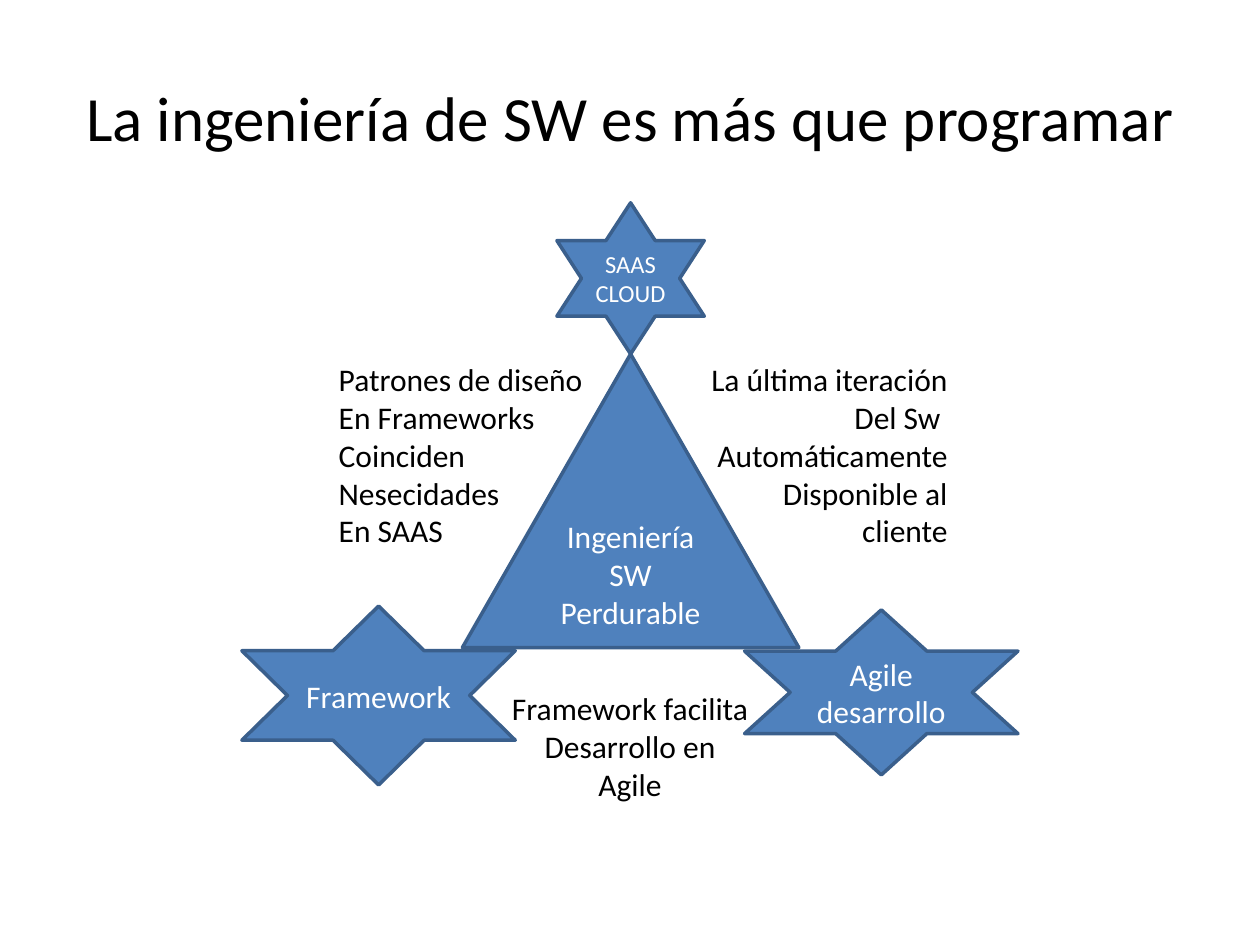
from pptx import Presentation
from pptx.dml.color import RGBColor
from pptx.enum.shapes import MSO_SHAPE as SHAPE
from pptx.enum.text import MSO_ANCHOR as ANCHOR, MSO_AUTO_SIZE as AUTO, PP_ALIGN as ALIGN
from pptx.util import Inches, Pt

COLORS = {"fill": "4F81BD", "line": "3A5F8C", "light": "FFFFFF", "dark": "000000"}
FONT = "Calibri"


def rgb(name):
    return RGBColor.from_string(COLORS[name])


def write(tf, lines, size, color, align):
    """Put each line in its own paragraph."""
    for i, line in enumerate(lines):
        p = tf.paragraphs[0] if i == 0 else tf.add_paragraph()
        p.alignment = align
        r = p.add_run()
        r.text = line
        for key, value in {"name": FONT, "size": Pt(size)}.items():
            setattr(r.font, key, value)
        r.font.color.rgb = rgb(color)


def add_node(slide, kind, box, lines, size=18):
    sp = slide.shapes.add_shape(kind, *map(Inches, box))
    sp.shadow.inherit = False
    sp.fill.solid()
    sp.fill.fore_color.rgb = rgb("fill")
    sp.line.color.rgb = rgb("line")
    sp.line.width = Pt(2)
    sp.text_frame.vertical_anchor = ANCHOR.MIDDLE
    write(sp.text_frame, lines, size, "light", ALIGN.CENTER)


def add_title(slide, box, text):
    tf = slide.shapes.add_textbox(*map(Inches, box)).text_frame
    tf.word_wrap = True
    tf.vertical_anchor = ANCHOR.MIDDLE
    write(tf, [text], 36, "dark", ALIGN.CENTER)


def add_side_label(slide, box, lines, align):
    tf = slide.shapes.add_textbox(*map(Inches, box)).text_frame
    tf.word_wrap = False
    tf.auto_size = AUTO.SHAPE_TO_FIT_TEXT
    write(tf, lines, 18, "dark", align)


def add_triangle_diagram(slide, left, top, width, height):
    """Place a triangle in the box, a star at each corner and a label along each side."""
    center, right, bottom = left + width / 2, left + width, top + height
    add_node(slide, SHAPE.ISOSCELES_TRIANGLE, (left, top, width, height),
             ["Ingeniería", "SW", "Perdurable"])

    stars = [
        (center, top - 1.2, 1.17, 1.2, ["SAAS", "CLOUD"], 14),
        (left - 0.665, bottom - 0.33, 2.17, 1.42, ["Framework"], 18),
        (right + 0.655, bottom - 0.3, 2.17, 1.31, ["Agile", "desarrollo"], 18),
    ]
    for mid, y, w, h, lines, size in stars:
        add_node(slide, SHAPE.STAR_6_POINT, (mid - w / 2, y, w, h), lines, size)

    labels = [
        (left - 1.08, top, 2.16, 1.62, ALIGN.LEFT,
         ["Patrones de diseño", "En Frameworks", "Coinciden", "Nesecidades", "En SAAS"]),
        (right - 0.82, top, 2.1, 1.62, ALIGN.RIGHT,
         ["La última iteración", "Del Sw ", "Automáticamente", "Disponible al", "cliente"]),
        (center - 1.05, bottom + 0.28, 2.09, 1.01, ALIGN.CENTER,
         ["Framework facilita", "Desarrollo en", "Agile"]),
    ]
    for *box, align, lines in labels:
        add_side_label(slide, box, lines, align)


def main():
    prs = Presentation()
    prs.slide_width, prs.slide_height = Inches(10), Inches(7.5)
    slide = prs.slides.add_slide(prs.slide_layouts[6])
    add_title(slide, (0.5, 0.3, 9, 1.25), "La ingeniería de SW es más que programar")
    add_triangle_diagram(slide, 3.67, 2.81, 2.67, 2.33)
    prs.save("out.pptx")


if __name__ == "__main__":
    main()
